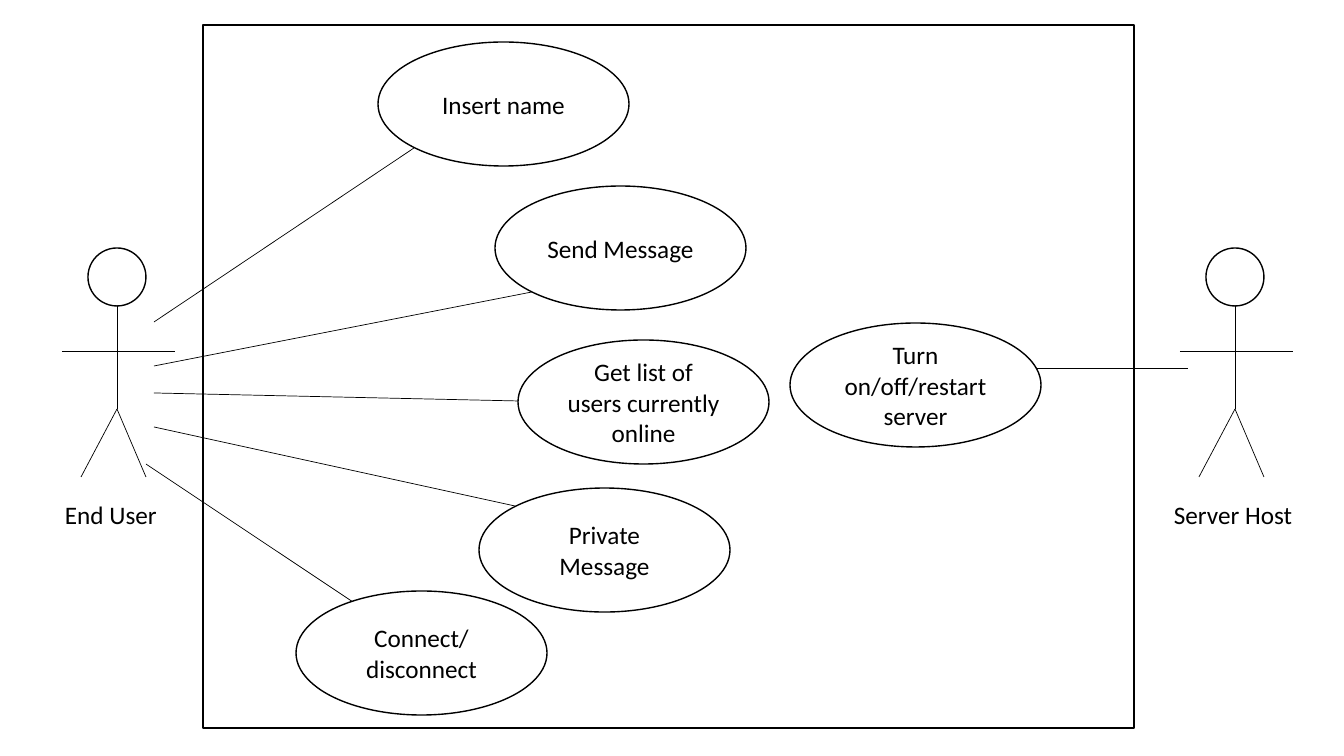
import dataclasses
import typing

import lxml.etree
import pptx
import pptx.dml.color
import pptx.enum.shapes
import pptx.enum.text
import pptx.oxml.ns
import pptx.shapes.autoshape
import pptx.slide
import pptx.text.text
import pptx.util

SCALE = 914400 / 100.8
Point = typing.Tuple[int, int]
Kind = pptx.enum.shapes.MSO_SHAPE
Align = pptx.enum.text.PP_ALIGN


@dataclasses.dataclass(frozen=True)
class Theme:
    """Colours, font and sizes of the slide."""
    ink: pptx.dml.color.RGBColor = pptx.dml.color.RGBColor(0, 0, 0)
    paper: pptx.dml.color.RGBColor = pptx.dml.color.RGBColor(255, 255, 255)
    font: str = "Calibri"
    size: float = 18
    edge: float = 1
    thin: float = 0.5


@dataclasses.dataclass(frozen=True)
class Actor:
    """A stick figure centred on x, with a label below."""
    x: int
    name: str
    left: int
    width: int


@dataclasses.dataclass(frozen=True)
class Case:
    """A use case oval and the line that links it to an actor."""
    text: str
    left: int
    top: int
    start: Point
    end: Point


THEME = Theme()
OVAL_W, OVAL_H = 251, 124
HEAD = 58
HEAD_TOP, NECK, ARM, HIP, FOOT = 248, 306, 351, 409, 477
LABEL_TOP, LABEL_H = 494, 40
FRAME = (203, 25, 931, 703)

ACTORS = [
    Actor(117, "End User", 55, 113),
    Actor(1235, "Server Host", 1164, 140),
]
CASES = [
    Case("Insert name", 378, 42, (154, 322), (414, 148)),
    Case("Send Message", 495, 186, (154, 366), (532, 292)),
    Case("Get list of users currently online", 518, 340, (154, 393), (519, 401)),
    Case("Private Message", 479, 488, (154, 427), (515, 506)),
    Case("Turn on/off/restart server", 790, 323, (1188, 368), (1024, 368)),
    Case("Connect/ disconnect", 296, 591, (146, 464), (422, 648)),
]


def px(count: float) -> pptx.util.Emu:
    """Turn pixels into EMU."""
    return pptx.util.Emu(round(count * SCALE))


def draw_line(slide: pptx.slide.Slide, start: Point, end: Point) -> None:
    """Draw a thin straight line without a shadow."""
    line = slide.shapes.add_connector(
        pptx.enum.shapes.MSO_CONNECTOR.STRAIGHT, *map(px, start + end))
    line.line.color.rgb = THEME.ink
    line.line.width = pptx.util.Pt(THEME.thin)
    lxml.etree.SubElement(line._element.spPr, pptx.oxml.ns.qn("a:effectLst"))


def draw_shape(slide: pptx.slide.Slide, kind: Kind, left: int, top: int,
               width: int, height: int) -> pptx.shapes.autoshape.Shape:
    """Draw a white shape with a black edge."""
    shape = slide.shapes.add_shape(kind, *map(px, (left, top, width, height)))
    shape.shadow.inherit = False
    shape.fill.solid()
    shape.fill.fore_color.rgb = THEME.paper
    shape.line.color.rgb = THEME.ink
    shape.line.width = pptx.util.Pt(THEME.edge)
    return shape


def write(frame: pptx.text.text.TextFrame, text: str, align: Align) -> None:
    """Put one styled paragraph in a text frame."""
    frame.text = text
    para = frame.paragraphs[0]
    para.alignment = align
    para.font.name = THEME.font
    para.font.size = pptx.util.Pt(THEME.size)
    para.font.color.rgb = THEME.ink


def draw_actor(slide: pptx.slide.Slide, actor: Actor) -> None:
    """Draw the head, limbs and label of an actor."""
    x = actor.x
    draw_shape(slide, Kind.OVAL, x - HEAD // 2, HEAD_TOP, HEAD, HEAD)
    hip = (x, HIP)
    draw_line(slide, (x, NECK), hip)
    draw_line(slide, hip, (x - 36, FOOT))
    draw_line(slide, hip, (x + 29, FOOT))
    draw_line(slide, (x - 55, ARM), (x + 58, ARM))
    label = slide.shapes.add_textbox(
        *map(px, (actor.left, LABEL_TOP, actor.width, LABEL_H)))
    label.text_frame.word_wrap = False
    label.text_frame.auto_size = pptx.enum.text.MSO_AUTO_SIZE.SHAPE_TO_FIT_TEXT
    write(label.text_frame, actor.name, Align.LEFT)


def draw_case(slide: pptx.slide.Slide, case: Case) -> None:
    """Draw a use case oval over the end of its link."""
    draw_line(slide, case.start, case.end)
    oval = draw_shape(slide, Kind.OVAL, case.left, case.top, OVAL_W, OVAL_H)
    oval.text_frame.word_wrap = True
    oval.text_frame.vertical_anchor = pptx.enum.text.MSO_ANCHOR.MIDDLE
    write(oval.text_frame, case.text, Align.CENTER)


def main() -> None:
    """Build and save the use case slide."""
    deck = pptx.Presentation()
    deck.slide_width, deck.slide_height = px(1344), px(756)
    slide = deck.slides.add_slide(deck.slide_layouts[6])
    draw_shape(slide, Kind.RECTANGLE, *FRAME)
    for actor in ACTORS:
        draw_actor(slide, actor)
    for case in CASES:
        draw_case(slide, case)
    deck.save("out.pptx")


main()
